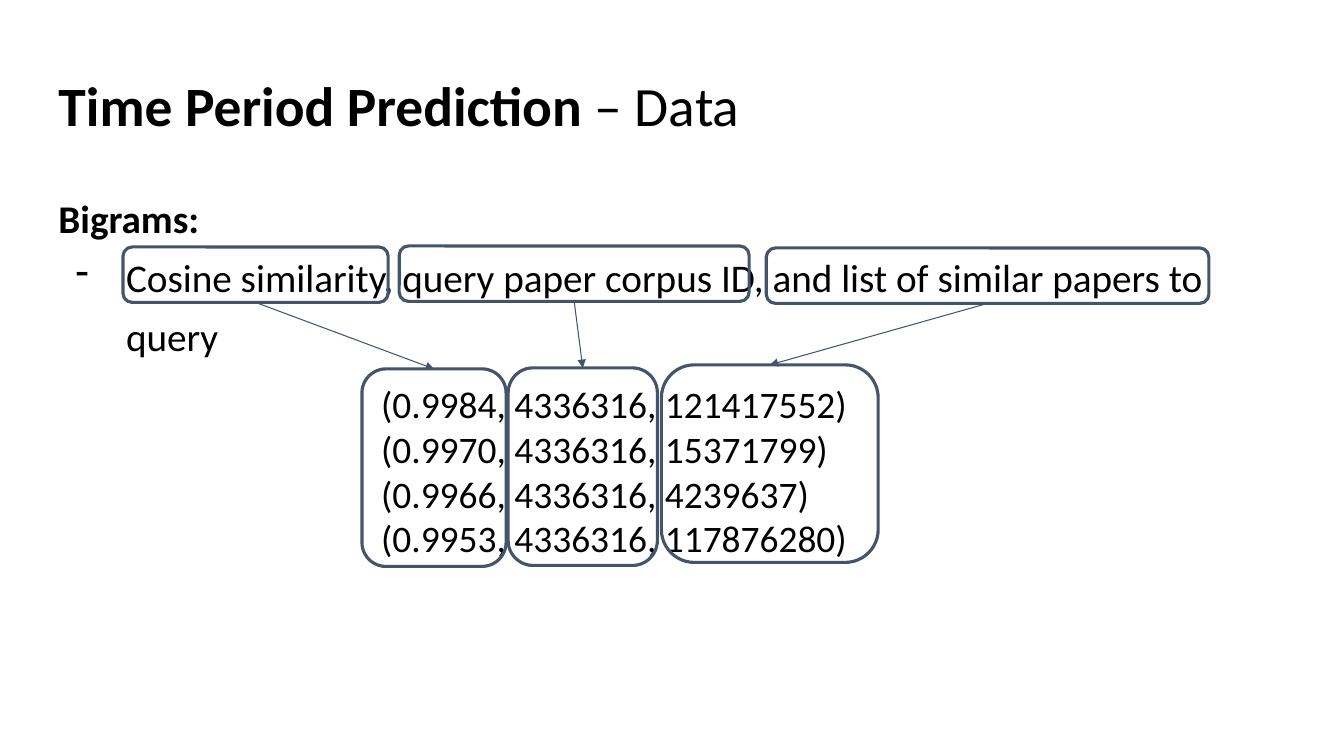
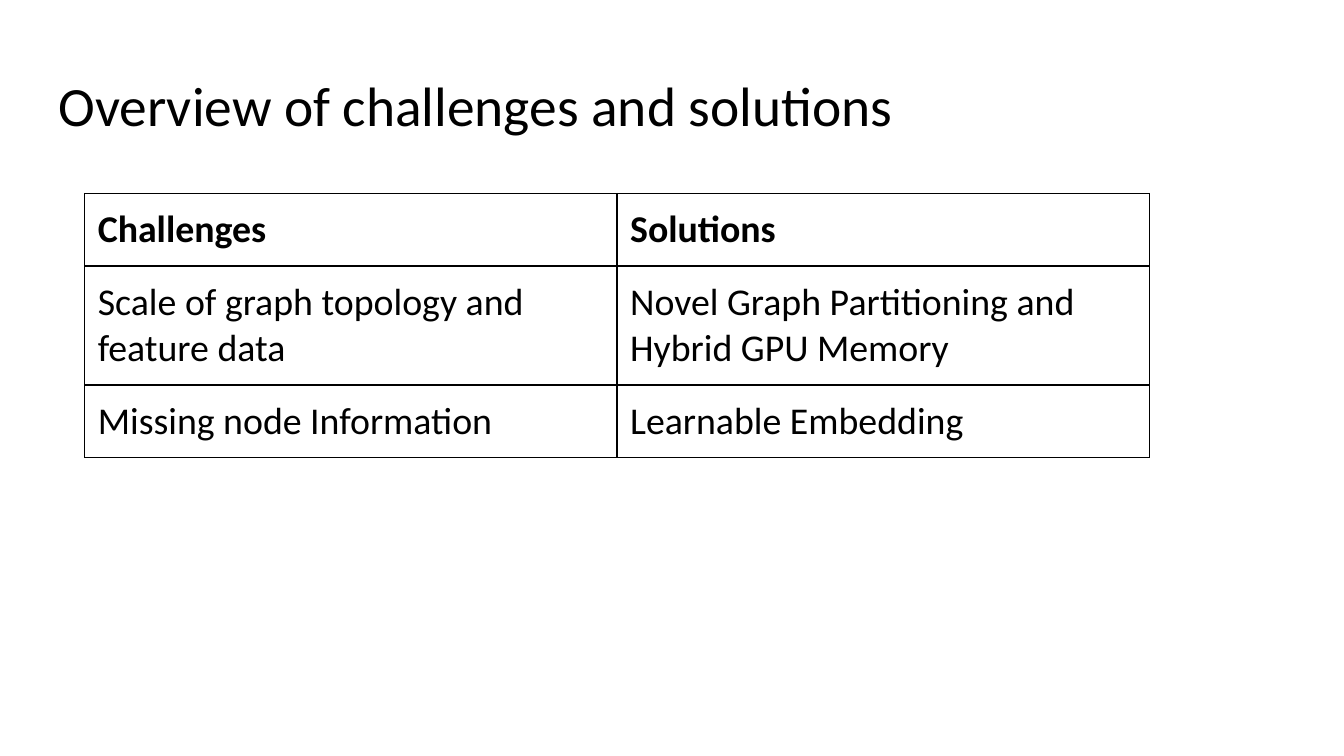
from lxml import etree
from pptx import Presentation
from pptx import util as u
from pptx.dml.color import RGBColor
from pptx.enum import shapes
from pptx.oxml.ns import qn

FONT = "Calibri"
BLACK = "000000"
SLATE = "44546A"
INSET = 0.13
TOP, BOTTOM = 0, 2


def color(hex_string):
    return RGBColor.from_string(hex_string)


def sub(parent, tag, **attributes):
    return etree.SubElement(parent, qn(tag), attributes)


class Deck:
    """Holds the shared style and the slide being built."""

    def __init__(self):
        self.presentation = Presentation()
        self.presentation.slide_width = u.Inches(13.33)
        self.presentation.slide_height = u.Inches(7.5)
        self.slide = None

    def new_slide(self, *title_runs):
        layout = self.presentation.slide_layouts[6]
        self.slide = self.presentation.slides.add_slide(layout)
        self.text(0.45, 0.65, 12.42, 0.84, [title_runs], 39.6, spacing=0.9)

    def style(self, paragraph, size, bold=None):
        font = paragraph.font
        font.name, font.size, font.bold = FONT, u.Pt(size), bold
        font.color.rgb = color(BLACK)

    def text(self, left, top, width, height, lines, size, spacing=None):
        """Add a text box; each line is a sequence of (text, bold) runs."""
        box = self.slide.shapes.add_textbox(*map(u.Inches, (left, top, width, height)))
        frame = box.text_frame
        frame.word_wrap = True
        frame.margin_left = frame.margin_right = u.Inches(INSET)
        frame.margin_top = frame.margin_bottom = u.Inches(INSET)
        for index, runs in enumerate(lines):
            paragraph = frame.add_paragraph() if index else frame.paragraphs[0]
            if spacing:
                paragraph.line_spacing = spacing
            for words, bold in runs:
                run = paragraph.add_run()
                run.text = words
                if bold:
                    run.font.bold = True
            self.style(paragraph, size)
        return frame

    def dash_bullet(self, paragraph, size):
        properties = paragraph._p.get_or_add_pPr()
        properties.set("marL", str(u.Inches(0.67)))
        properties.set("indent", str(u.Inches(-0.5)))
        default_font = properties.find(qn("a:defRPr"))
        bullet = etree.Element(qn("a:buChar"), char="-")
        default_font.addprevious(bullet)

    def outline(self, left, top, width, height):
        shape = self.slide.shapes.add_shape(
            shapes.MSO_SHAPE.ROUNDED_RECTANGLE,
            *map(u.Inches, (left, top, width, height)))
        shape.shadow.inherit = False
        shape.fill.background()
        shape.line.color.rgb = color(SLATE)
        shape.line.width = u.Pt(2.25)
        return shape

    def arrow(self, source, target):
        """Point from the bottom of source to the top of target."""
        line = self.slide.shapes.add_connector(shapes.MSO_CONNECTOR.STRAIGHT, 0, 0, 0, 0)
        line.begin_connect(source, BOTTOM)
        line.end_connect(target, TOP)
        line.line.color.rgb = color(SLATE)
        line.line.width = u.Pt(0.75)
        sub(line.line._get_or_add_ln(), "a:tailEnd", type="triangle")
        sub(line._element.spPr, "a:effectLst")

    def cell_borders(self, cell):
        properties = cell._tc.get_or_add_tcPr()
        for side in ("a:lnL", "a:lnR", "a:lnT", "a:lnB"):
            border = sub(properties, side, w=str(u.Pt(1)))
            sub(sub(border, "a:solidFill"), "a:srgbClr", val=BLACK)

    def table(self, left, top, column_width, row_heights, rows, size):
        columns = len(rows[0])
        table = self.slide.shapes.add_table(
            len(rows), columns, u.Inches(left), u.Inches(top),
            u.Inches(column_width * columns), u.Inches(sum(row_heights))).table
        table.first_row = table.horz_banding = False
        for column in table.columns:
            column.width = u.Inches(column_width)
        for index, (height, words) in enumerate(zip(row_heights, rows)):
            table.rows[index].height = u.Inches(height)
            for cell, content in zip(table.rows[index].cells, words):
                cell.text = content
                cell.margin_left = cell.margin_right = u.Inches(INSET)
                cell.margin_top = cell.margin_bottom = u.Inches(INSET)
                self.cell_borders(cell)
                cell.fill.background()
                self.style(cell.text_frame.paragraphs[0], size, bold=index == 0)


def data_slide(deck):
    deck.new_slide(("Time Period Prediction", True), (" – Data", False))
    samples = ("(0.9984, 4336316, 121417552)", "(0.9970, 4336316, 15371799)",
               "(0.9966, 4336316, 4239637)", "(0.9953, 4336316, 117876280)")
    deck.text(3.65, 3.65, 5.88, 3.4, [[(sample, False)] for sample in samples], 26.7)
    body = deck.text(0.45, 1.68, 12.42, 4.98, [
        [("Bigrams:", True)],
        [("Cosine similarity, query paper corpus ID, "
          "and list of similar papers to query", False)],
    ], 28, spacing=1.25)
    deck.dash_bullet(body.paragraphs[1], 28)

    # Left, top and width of each phrase and of the column it describes
    links = [((1.22, 2.45, 2.63), (3.59, 3.66, 1.43)),
             ((3.96, 2.44, 3.47), (5.04, 3.65, 1.48)),
             ((7.6, 2.46, 4.39), (6.56, 3.62, 2.15))]
    for phrase, column in links:
        deck.arrow(deck.outline(*phrase, 0.55), deck.outline(*column, 1.96))


def challenges_slide(deck):
    deck.new_slide(("Overview of challenges and solutions", False))
    deck.table(0.84, 1.92, 5.28, (0.72, 1.18, 0.72), [
        ("Challenges", "Solutions"),
        ("Scale of graph topology and feature data",
         "Novel Graph Partitioning and Hybrid GPU Memory"),
        ("Missing node Information", "Learnable Embedding"),
    ], 27)


def main():
    deck = Deck()
    data_slide(deck)
    challenges_slide(deck)
    deck.presentation.save("out.pptx")


if __name__ == "__main__":
    main()
